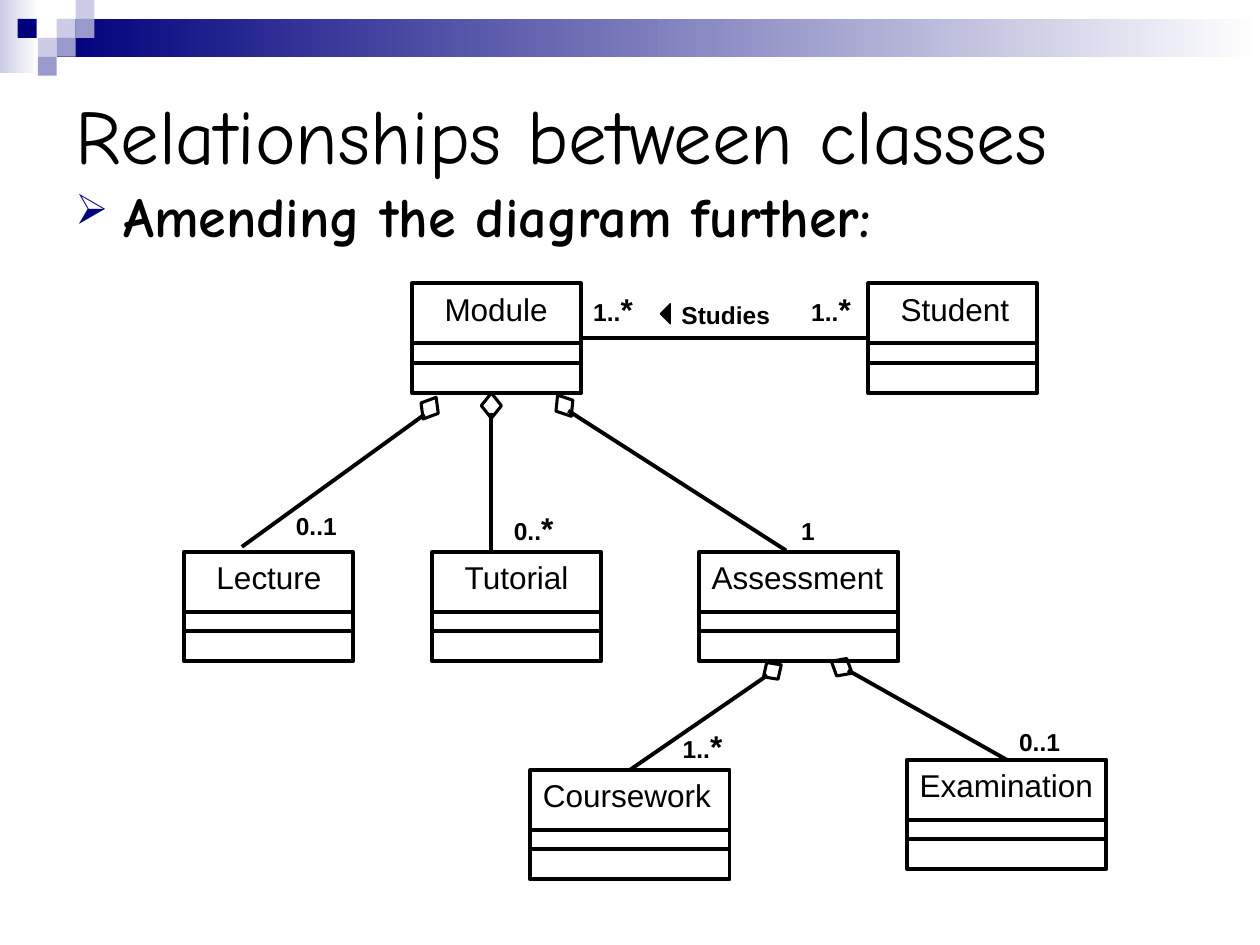
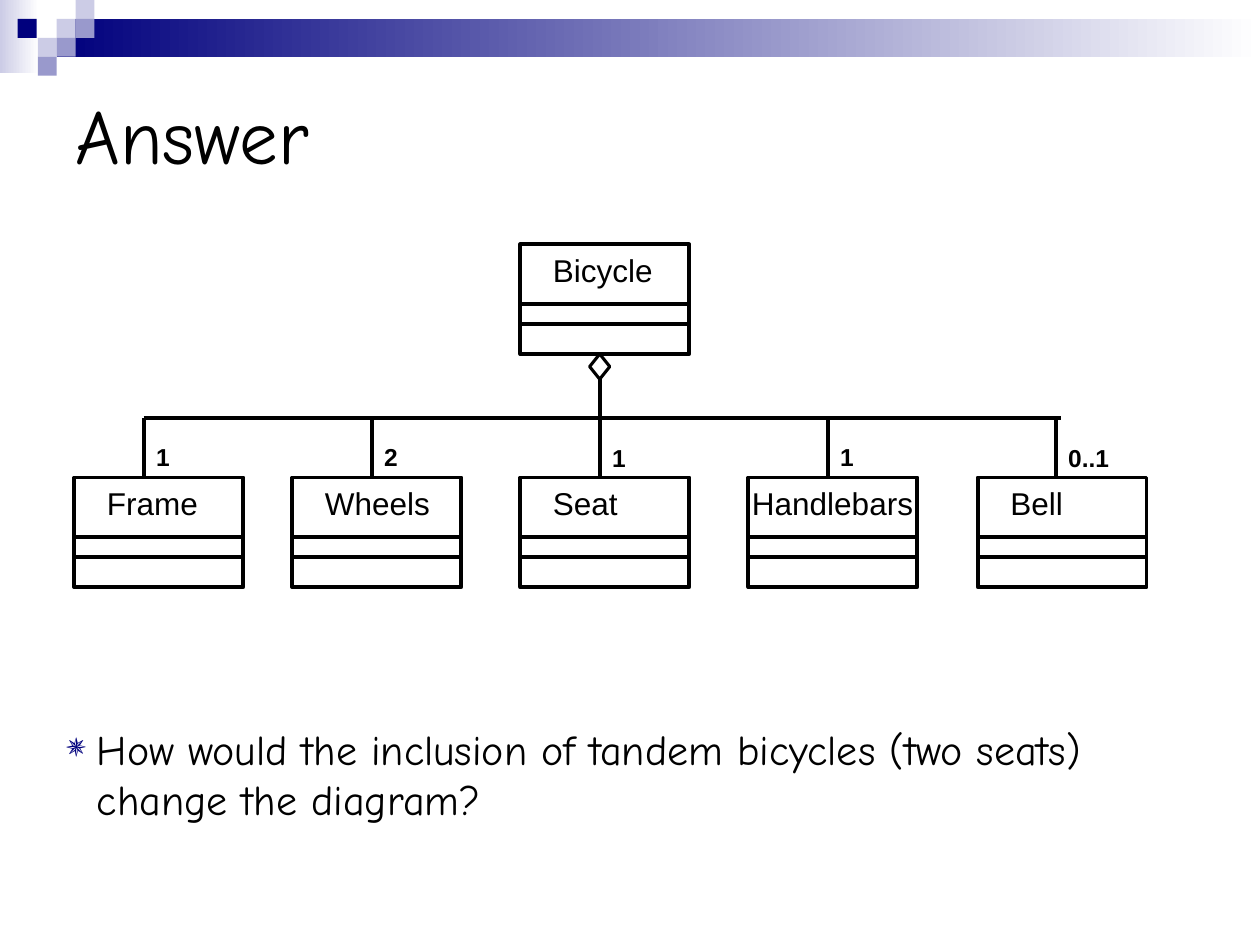
from dataclasses import dataclass
from lxml.etree import SubElement
from pptx import Presentation
from pptx.dml.color import RGBColor
from pptx.enum.shapes import MSO_CONNECTOR, MSO_SHAPE
from pptx.enum.text import MSO_ANCHOR, MSO_AUTO_SIZE, PP_ALIGN
from pptx.oxml.ns import qn
from pptx.util import Inches, Pt


@dataclass(frozen=True)
class Theme:
    ink: str = "000000"
    navy: str = "00007D"
    mid: str = "9999CC"
    pale: str = "CCCCE6"
    white: str = "FFFFFF"
    hand: str = "Comic Neue"
    sans: str = "Arial"
    title: int = 44
    lead: int = 32
    ask: int = 24
    name: int = 18
    count: int = 14
    stroke: float = 2.25
    edge: float = 1.75


T = Theme()

FADES = [((0, 0, 0.31, 0.58), T.pale), ((0.45, 0.15, 9.55, 0.3), T.navy)]
TILES = [
    (0.45, 0.15, T.pale), (0.6, 0, T.pale), (0.6, 0.15, T.mid),
    (0.3, 0.3, T.pale), (0.14, 0.15, T.navy), (0.45, 0.3, T.mid),
    (0.3, 0.45, T.mid),
]
TILE = 0.15

HEAD = "Relationships between classes"
LEAD = "Amending the diagram further:"
SLIM, WIDE, TALL = 1.34, 1.58, 0.87
SPLITS = (0.475, 0.63)
MODELS = [
    ("Module", 3.27, 2.25, SLIM), ("Student", 6.89, 2.25, SLIM),
    ("Lecture", 1.46, 4.38, SLIM), ("Tutorial", 3.43, 4.38, SLIM),
    ("Assessment", 5.55, 4.38, WIDE),
    ("Coursework", 4.21, 6.11, WIDE), ("Examination", 7.2, 6.03, WIDE),
]
COUNTS = [
    ("1..*", 6.34, 2.25), ("1..*", 4.61, 2.25), ("0..1", 2.25, 4.01),
    ("0..*", 3.98, 3.99), ("1", 6.26, 4.05), ("1..*", 5.32, 5.72),
    ("0..1", 7.99, 5.72),
]
GEMS = [
    (3.82, 3.12, 0.2, 0), (3.33, 3.14, 0.2, 31), (4.4, 3.12, 0.2, 327),
    (6.6, 5.2, 0.19, 300), (6.05, 5.24, 0.17, 56),
]
LINKS = [
    ((3.9, 3.28), (3.9, 4.38), None),
    ((3.37, 3.29), (1.92, 4.34), None),
    ((4.51, 3.26), (6.24, 4.37), None),
    ((6.73, 5.32), (7.97, 6.03), "Examination"),
    ((6.09, 5.36), (5, 6.09), "Coursework"),
]

REPLY = "Answer"
ASK = "How would the inclusion of tandem bicycles (two seats) change the diagram?"
PARTS = [
    ("Frame", "1", 0.59, 3.46), ("Wheels", "2", 2.32, 3.46),
    ("Seat", "1", 4.13, 3.47), ("Handlebars", "1", 5.94, 3.46),
    ("Bell", "0..1", 7.76, 3.47),
]
POST, STEP, RAIL, ROW = 1.14, 1.81, 3.32, 3.79


def paint(color):
    return RGBColor.from_string(color)


def style(run, size, face=T.sans, bold=False):
    run.font.size = Pt(size)
    run.font.name = face
    run.font.bold = bold
    run.font.color.rgb = paint(T.ink)


def shape(slide, kind, box, fill=None, line=None):
    item = slide.shapes.add_shape(kind, *map(Inches, box))
    item.shadow.inherit = False
    if fill:
        item.fill.solid()
        item.fill.fore_color.rgb = paint(fill)
    else:
        item.fill.background()
    if line:
        item.line.color.rgb = paint(T.ink)
        item.line.width = Pt(line)
    else:
        item.line.fill.background()
    return item


def fade(item, color):
    item.fill.gradient()
    item.fill.gradient_angle = 0
    for stop, tone in zip(item.fill.gradient_stops, (color, T.white)):
        stop.color.rgb = paint(tone)


def line(slide, start, end):
    item = slide.shapes.add_connector(
        MSO_CONNECTOR.STRAIGHT, *map(Inches, (*start, *end)))
    item.line.color.rgb = paint(T.ink)
    item.line.width = Pt(T.stroke)
    SubElement(item.element.spPr, qn("a:effectLst"))
    return item


def text(slide, box, words):
    frame = slide.shapes.add_textbox(*map(Inches, box)).text_frame
    frame.word_wrap = True
    frame.text = words
    return frame.paragraphs[0]


def label(slide, box, words, size, bold=False):
    para = text(slide, box, words)
    style(para.runs[0], size, bold=bold)
    return para


def count(slide, words, left, top):
    star = words.endswith("*")
    box = (left, top, 0.63, 0.4 if star else 0.34)
    para = label(slide, box, words.rstrip("*"), T.count, True)
    if star:
        run = para.add_run()
        run.text = "*"
        style(run, T.name, bold=True)


def bullet(slide, box, words, mark, scale, indent, size, bold=False):
    para = text(slide, box, words)
    props = para._p.get_or_add_pPr()
    props.set("marL", str(Inches(indent)))
    props.set("indent", str(Inches(-indent)))
    tint = SubElement(props, qn("a:buClr"))
    SubElement(tint, qn("a:srgbClr"), val=T.navy)
    SubElement(props, qn("a:buSzPct"), val=str(scale * 1000))
    SubElement(props, qn("a:buChar"), char=mark)
    style(para.runs[0], size, T.hand, bold)


def model(slide, name, left, top, width):
    if name == "Handlebars":
        shift, span = -0.07, 1.5
    elif width == WIDE:
        shift, span = 0, WIDE
    else:
        shift, span = 0.16, 1.26
    item = shape(slide, MSO_SHAPE.RECTANGLE, (left, top, width, TALL),
                 line=T.stroke)
    label(slide, (left + shift, top, span, 0.4), name, T.name)
    for drop in SPLITS:
        line(slide, (left, top + drop), (left + width, top + drop))
    return item


def gem(slide, left, top, height=0.2, turn=0):
    item = shape(slide, MSO_SHAPE.DIAMOND, (left, top, 0.16, height),
                 line=T.edge)
    item.rotation = turn


def band(slide, layout):
    items = []
    for box, color in FADES:
        items.append(shape(slide, MSO_SHAPE.RECTANGLE, box, color))
        fade(items[-1], color)
    for left, top, color in TILES:
        items.append(shape(slide, MSO_SHAPE.RECTANGLE,
                           (left, top, TILE, TILE), color))
    for spot, item in enumerate(items):
        item.element.nvSpPr.cNvPr.set("id", str(100 + spot))
        layout.shapes.element.insert(2 + spot, item.element)


def start(deck, layout, words):
    slide = deck.slides.add_slide(layout)
    title = slide.shapes.title
    title.left, title.top, title.width, title.height = map(
        Inches, (0.5, 0.5, 9, 1.12))
    frame = title.text_frame
    frame.text = words
    frame.word_wrap = True
    frame.auto_size = MSO_AUTO_SIZE.NONE
    frame.vertical_anchor = MSO_ANCHOR.MIDDLE
    frame.paragraphs[0].alignment = PP_ALIGN.LEFT
    style(frame.paragraphs[0].runs[0], T.title, T.hand)
    return slide


def course(slide):
    bullet(slide, (0.5, 1.39, 9, 1.02), LEAD, "➢", 75, 0.38, T.lead, True)
    nodes = {row[0]: model(slide, *row) for row in MODELS}
    bond = line(slide, (4.61, 2.65), (6.89, 2.65))
    bond.begin_connect(nodes["Module"], 3)
    bond.end_connect(nodes["Student"], 1)
    label(slide, (5.31, 2.33, 1.02, 0.34), "Studies", T.count, True)
    arrow = shape(slide, MSO_SHAPE.ISOSCELES_TRIANGLE,
                  (5.2, 2.45, 0.16, 0.08), T.ink, 0.75)
    arrow.rotation = 270
    for row in GEMS:
        gem(slide, *row)
    for head, tail, node in LINKS:
        link = line(slide, head, tail)
        if node:
            link.end_connect(nodes[node], 0)
    for row in COUNTS:
        count(slide, *row)


def bike(slide):
    model(slide, "Bicycle", 4.13, 1.94, SLIM)
    gem(slide, 4.68, 2.81)
    line(slide, (POST, RAIL), (8.42, RAIL))
    for spot, (name, total, left, top) in enumerate(PARTS):
        post = POST + spot * STEP
        line(slide, (post, 3 if name == "Seat" else RAIL), (post, ROW))
        model(slide, name, left, ROW, SLIM)
        count(slide, total, post, top)
    bullet(slide, (0.43, 5.69, 8.98, 0.9), ASK, "✵", 80, 0.24, T.ask)


def main():
    deck = Presentation()
    deck.slide_width, deck.slide_height = Inches(10), Inches(7.5)
    layout = deck.slide_layouts[5]
    first = start(deck, layout, HEAD)
    band(first, layout)
    course(first)
    bike(start(deck, layout, REPLY))
    deck.save("out.pptx")


if __name__ == "__main__":
    main()
